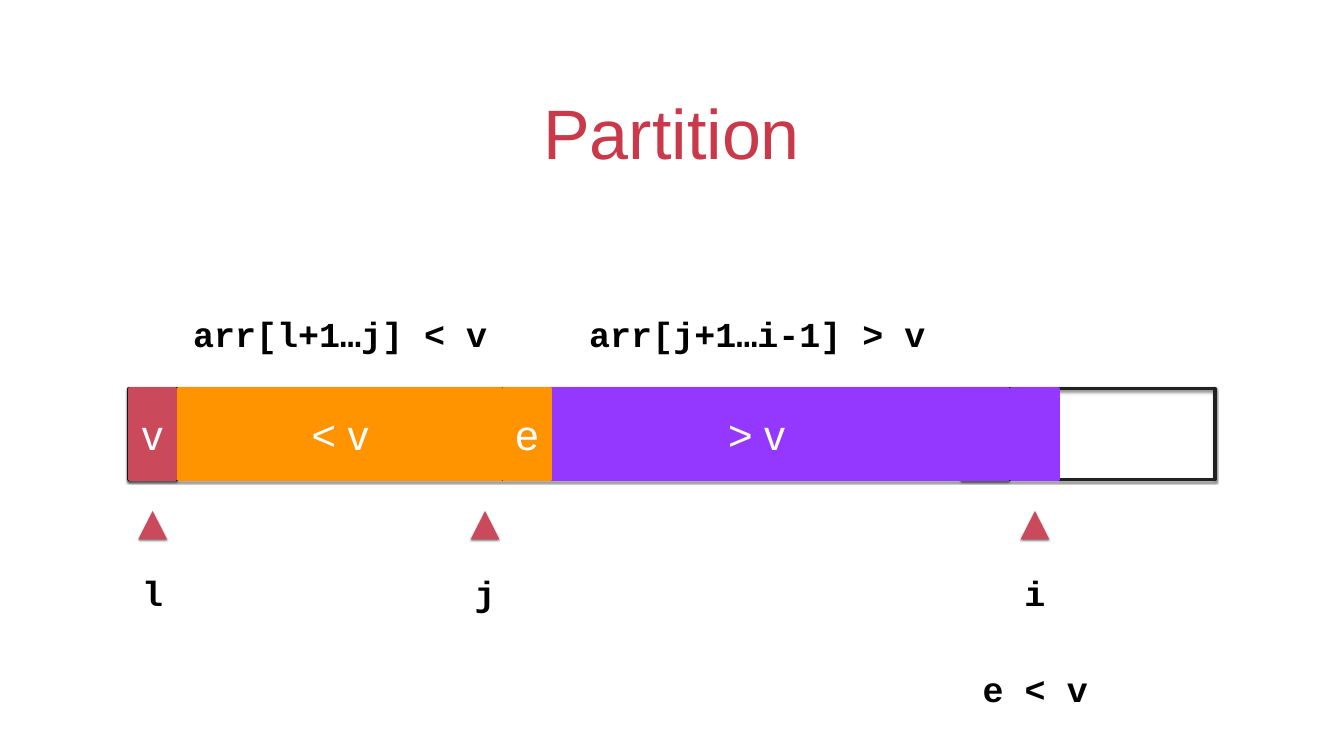
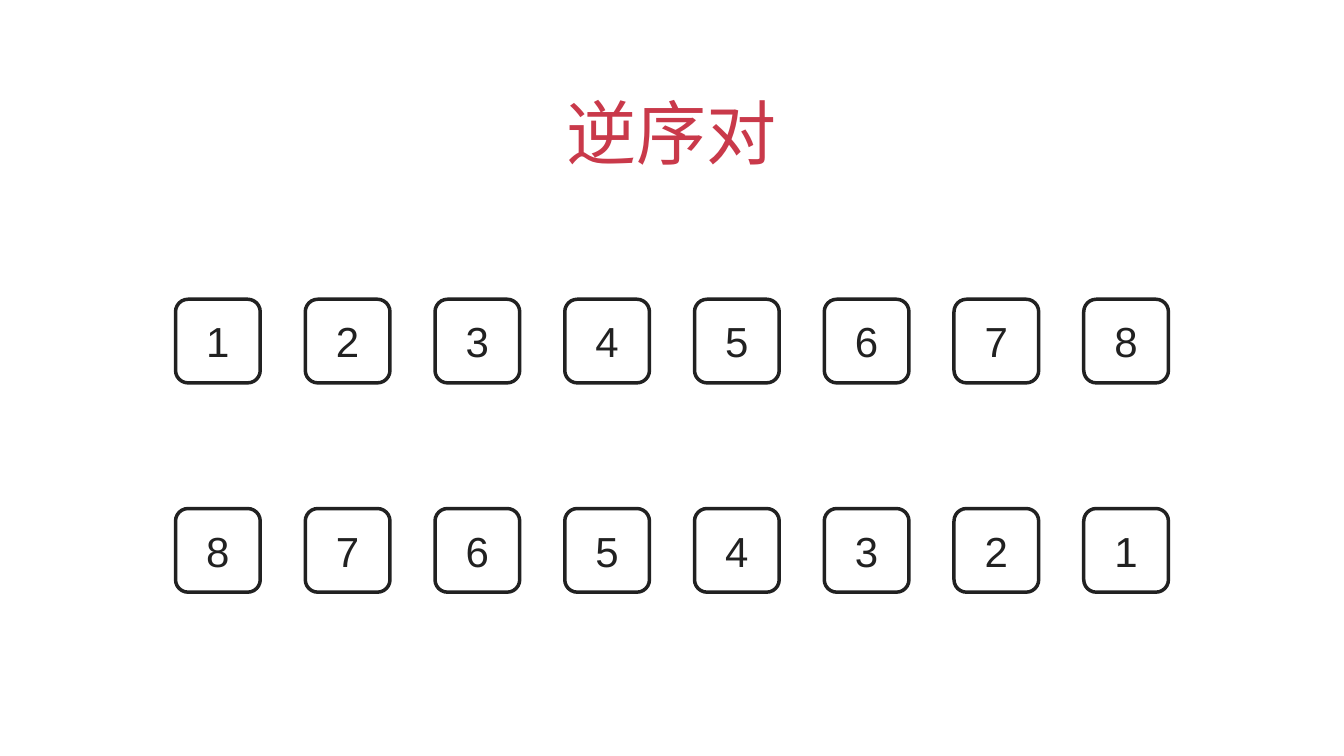
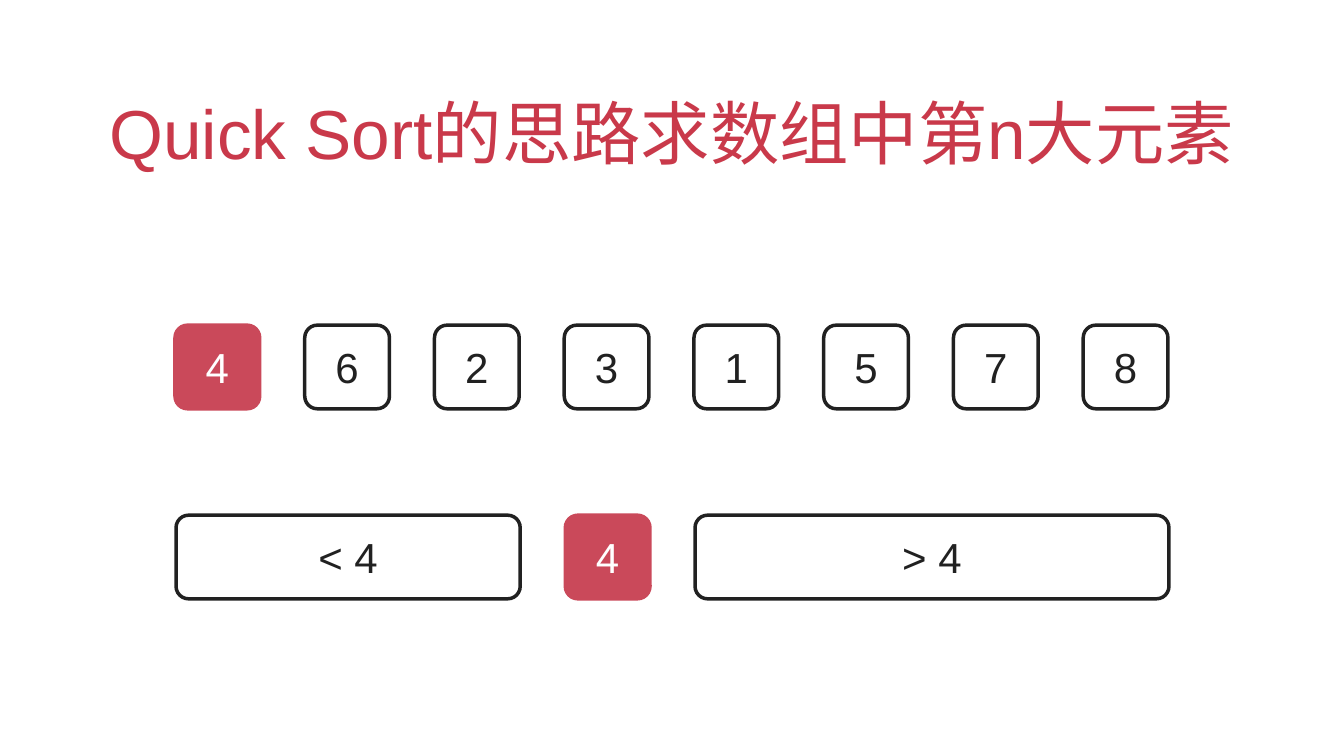
from lxml.etree import SubElement
from pptx import Presentation
from pptx.dml.color import RGBColor
from pptx.enum.shapes import MSO_SHAPE
from pptx.enum.text import MSO_ANCHOR, PP_ALIGN
from pptx.oxml.ns import qn
from pptx.util import Pt

COLORS = {
    "title": "C9394A",
    "accent": "CA495A",
    "less": "FF9300",
    "greater": "9437FF",
    "ink": "212121",
    "black": "000000",
    "white": "FFFFFF",
}
SANS, MONO = "Arial", "Courier New"
SLIDE_SIZE = (1920, 1080)
TITLE_BOX = (139.5, 91.5, 1640, 160)
COLUMNS = 8
CHIP_WIDTH, CHIP_HEIGHT = 121, 119.5
LINE_WIDTH = 5


def rgb(name):
    """Return the palette colour called name."""
    return RGBColor.from_string(COLORS[name])


def write(shape, text, size=60, font=SANS, color="ink", bold=False,
          anchor=MSO_ANCHOR.MIDDLE, wrap=True):
    """Put one centred line of formatted text into a shape."""
    frame = shape.text_frame
    frame.word_wrap = wrap
    frame.vertical_anchor = anchor
    frame.margin_left = frame.margin_right = Pt(4)
    frame.margin_top = frame.margin_bottom = Pt(4)
    paragraph = frame.paragraphs[0]
    paragraph.alignment = PP_ALIGN.CENTER
    run = paragraph.add_run()
    run.text = text
    run.font.size = Pt(size)
    run.font.name = font
    run.font.bold = bold
    run.font.color.rgb = rgb(color)


def add_label(slide, box, text, **style):
    """Add a text box with formatted text."""
    write(slide.shapes.add_textbox(*map(Pt, box)), text, **style)


def add_code(slide, box, text, wrap=False):
    """Add a bold monospaced label."""
    add_label(slide, box, text, size=50, font=MONO, color="black", bold=True, wrap=wrap)


def add_title(slide, text, size=100):
    """Add the slide title, growing upwards from its box."""
    add_label(slide, TITLE_BOX, text, size=size, color="title", anchor=MSO_ANCHOR.BOTTOM)


def cast_shadow(shape):
    """Give a shape a soft shadow straight below it."""
    effects = shape._element.spPr.find(qn("a:effectLst"))
    shadow = SubElement(effects, qn("a:outerShdw"), blurRad=str(Pt(3)),
                        dist=str(Pt(2)), dir="5400000", rotWithShape="0")
    tint = SubElement(shadow, qn("a:srgbClr"), val=COLORS["black"])
    SubElement(tint, qn("a:alpha"), val="50000")


def add_block(slide, box, text="", fill=None, kind=MSO_SHAPE.RECTANGLE, shadow=False):
    """Add a filled or outlined block with an optional text."""
    block = slide.shapes.add_shape(kind, *map(Pt, box))
    block.shadow.inherit = False
    if fill:
        block.fill.solid()
        block.fill.fore_color.rgb = rgb(fill)
    else:
        block.fill.background()
    block.line.color.rgb = rgb(fill or "ink")
    block.line.width = Pt(LINE_WIDTH)
    if shadow:
        cast_shadow(block)
    if text:
        write(block, text, color="white" if fill else "ink")
    return block


def add_array_bar(slide, box):
    """Draw the array with its pivot, smaller, larger and unseen parts."""
    left, top, width, height = box
    cell = 65.5
    segments = [
        (1190, cell, "", "greater", True),
        (0, width, "", None, True),
        (0.5, cell, "v", "accent", True),
        (71, 461, "< v", "less", False),
        (537, 719, "> v", "greater", False),
        (535.5, cell, "e", "less", False),
        (1261.5, cell, "", "greater", False),
    ]
    for offset, extent, text, fill, shadow in segments:
        add_block(slide, (left + offset, top, extent, height), text, fill, shadow=shadow)


def add_index_marker(slide, center, top, name):
    """Draw a triangle pointing up at the array with the index name below."""
    half, height = 20.5, 40.5
    outline = slide.shapes.build_freeform(Pt(center), Pt(top))
    outline.add_line_segments([(Pt(center + half), Pt(top + height)),
                               (Pt(center - half), Pt(top + height))], close=True)
    pointer = outline.convert_to_shape()
    pointer.shadow.inherit = False
    pointer.fill.solid()
    pointer.fill.fore_color.rgb = rgb("accent")
    pointer.line.fill.background()
    cast_shadow(pointer)
    add_code(slide, (center - 19.5, top + 83.5, 39, 66), name)


def add_chip_row(slide, left, top, chips):
    """Place (text, columns, fill) chips side by side on the column grid."""
    pitch = 185.35
    column = 0
    for text, span, fill in chips:
        box = (left + column * pitch, top, CHIP_WIDTH + (span - 1) * pitch, CHIP_HEIGHT)
        chip = add_block(slide, box, text, fill, MSO_SHAPE.ROUNDED_RECTANGLE)
        chip.adjustments[0] = 0.15
        column += span


def number_chips(numbers, pivot=None):
    """Return one chip per number with the pivot filled."""
    return [(str(n), 1, "accent" if n == pivot else None) for n in numbers]


def build_partition(slide):
    """Build the slide on the partition step."""
    add_title(slide, "Partition")
    add_array_bar(slide, (184.5, 555, 1551, 130))
    for name, center in (("l", 218), ("j", 693), ("i", 1478.5)):
        add_index_marker(slide, center, 730, name)
    add_code(slide, (252.5, 443.5, 467, 66), "arr[l+1…j] < v", wrap=True)
    add_code(slide, (762.5, 443.5, 639, 66), "arr[j+1…i-1] > v", wrap=True)
    add_code(slide, (1399, 951, 160, 66), "e < v")


def build_inversions(slide):
    """Build the slide on inversion pairs."""
    add_title(slide, "逆序对")
    ascending = range(1, COLUMNS + 1)
    add_chip_row(slide, 250.75, 427.5, number_chips(ascending))
    add_chip_row(slide, 250.75, 726.5, number_chips(reversed(ascending)))


def build_selection(slide):
    """Build the slide on finding the n-th largest element."""
    add_title(slide, "Quick Sort的思路求数组中第n大元素", size=99)
    add_chip_row(slide, 250, 464.5, number_chips([4, 6, 2, 3, 1, 5, 7, 8], pivot=4))
    add_chip_row(slide, 251.5, 736, [("< 4", 3, None), ("4", 1, "accent"), ("> 4", 4, None)])


def main():
    """Build and save the presentation."""
    deck = Presentation()
    deck.slide_width, deck.slide_height = map(Pt, SLIDE_SIZE)
    for build in (build_partition, build_inversions, build_selection):
        build(deck.slides.add_slide(deck.slide_layouts[6]))
    deck.save("out.pptx")


if __name__ == "__main__":
    main()
